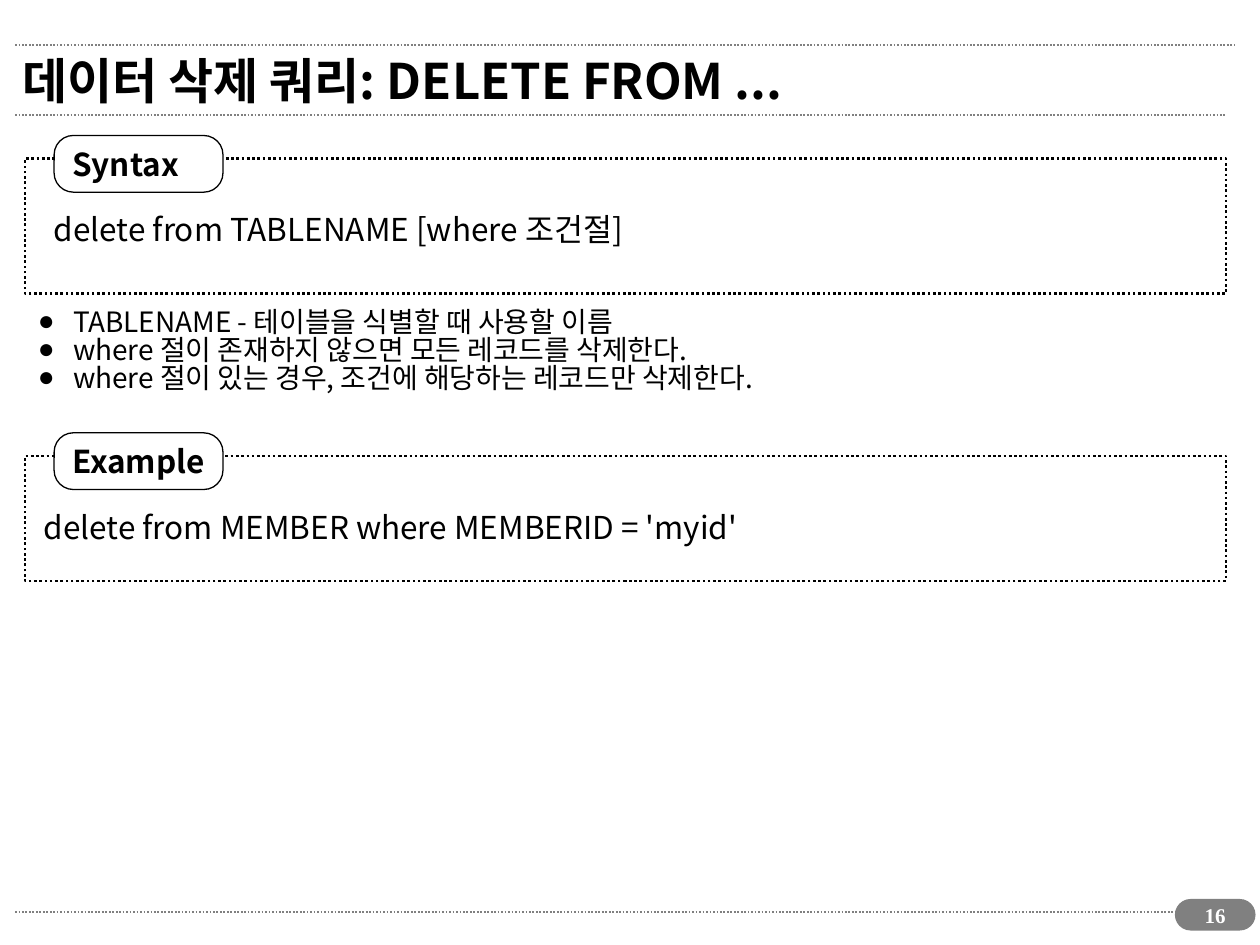
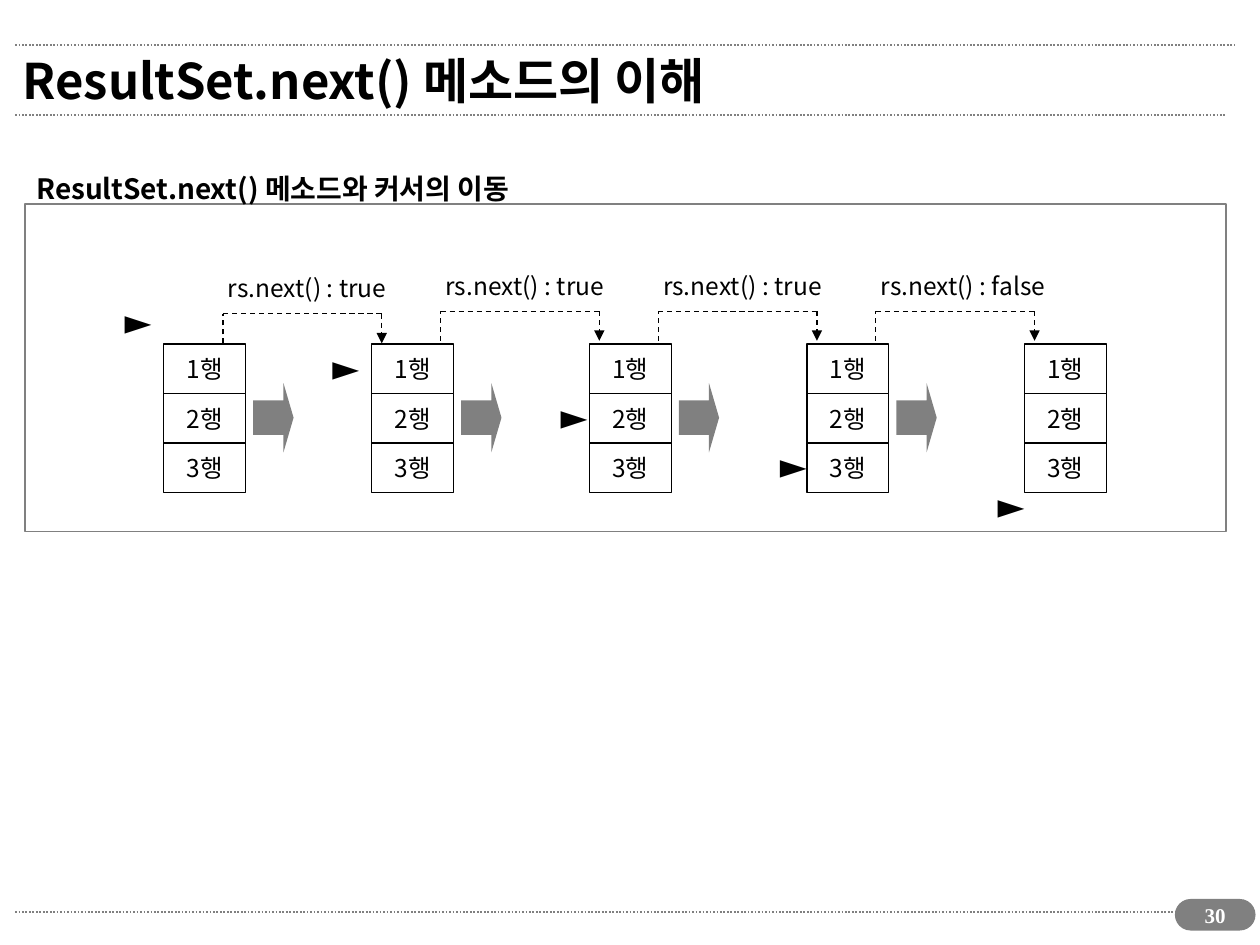
from lxml.etree import SubElement
from pptx import Presentation
from pptx.dml.color import RGBColor as Rgb
from pptx.enum.dml import MSO_LINE as Dash
from pptx.enum.shapes import MSO_CONNECTOR as Link, MSO_SHAPE as Form
from pptx.enum.text import MSO_ANCHOR as Anchor, MSO_AUTO_SIZE as Fit, PP_ALIGN as Align
from pptx.oxml.ns import qn
from pptx.util import Inches, Pt

COLORS = {"ink": "000000", "gray": "808080", "paper": "FFFFFF"}
SANS, SERIF = "Noto Sans CJK KR", "Times New Roman"
COLS, ROWS = 100, 75


def tint(name):
    return Rgb.from_string(COLORS[name])


class Deck:
    """Holds the style and the current slide; lengths are grid columns and rows."""

    def __init__(self):
        self.prs = Presentation()
        self.prs.slide_width, self.prs.slide_height = Inches(10), Inches(7.5)
        self.col = self.prs.slide_width / COLS
        self.row = self.prs.slide_height / ROWS
        self.slide = None

    def spot(self, *grid):
        """Turn alternating columns and rows into slide units."""
        return [round(n * (self.row if i % 2 else self.col)) for i, n in enumerate(grid)]

    def start(self, title, number, layout):
        self.slide = self.prs.slides.add_slide(self.prs.slide_layouts[layout])
        for right, row in ((97.3, 72.4), (97.2, 9.1), (98, 3.6)):
            self.line(1.2, row, right, row, "gray", 1, Dash.ROUND_DOT)
        pill = self.shape(Form.ROUNDED_RECTANGLE, (93.3, 71.4, 6.3, 2.4), "gray", "gray", adj=[0.5])
        frame = pill.text_frame
        frame.margin_top = frame.margin_bottom = 0
        self.label(frame, number, 12, True, "paper", SERIF, Align.CENTER)
        head = self.place(0, (0.8, 2.8, 91, 7.1))
        head.vertical_anchor = Anchor.MIDDLE
        self.label(head, title, 28, True)

    def place(self, index, box):
        """Move a placeholder and return its text frame."""
        holder = self.slide.placeholders[index]
        holder.left, holder.top, holder.width, holder.height = self.spot(*box)
        holder.text_frame.auto_size = Fit.NONE
        return holder.text_frame

    def label(self, frame, text, size, bold=False, color="ink", face=SANS, align=Align.LEFT):
        """Set and format the text of a frame."""
        frame.text = text
        for par in frame.paragraphs:
            par.alignment = align
            for run in par.runs:
                font = run.font
                font.size, font.bold, font.name = Pt(size), bold, face
                font.color.rgb = tint(color)
                SubElement(font._element, qn("a:ea"), typeface=face)

    def text(self, box, text, size, bold=False, wrap=False):
        frame = self.slide.shapes.add_textbox(*self.spot(*box)).text_frame
        frame.word_wrap = wrap
        frame.auto_size = Fit.SHAPE_TO_FIT_TEXT
        self.label(frame, text, size, bold)

    def points(self, box, items, size):
        """Fill the body placeholder with a bulleted list."""
        frame = self.place(1, box)
        self.label(frame, "\n".join(items), size)
        indent = Inches(0.28)
        for par in frame.paragraphs:
            par.space_before, par.line_spacing = Pt(0), 0.83
            props = par._p.get_or_add_pPr()
            props.set("marL", str(indent))
            props.set("indent", str(-indent))
            SubElement(props, qn("a:buChar"), char="●")

    def shape(self, form, box, fill=None, edge=None, width=0.75, dash=None, adj=()):
        item = self.slide.shapes.add_shape(form, *self.spot(*box))
        item.shadow.inherit = False
        for i, value in enumerate(adj):
            item.adjustments[i] = value
        if fill:
            item.fill.solid()
            item.fill.fore_color.rgb = tint(fill)
        else:
            item.fill.background()
        if edge:
            item.line.color.rgb = tint(edge)
            item.line.width = Pt(width)
            item.line.dash_style = dash
        else:
            item.line.fill.background()
        item.text_frame.word_wrap = False
        item.text_frame.vertical_anchor = Anchor.MIDDLE
        return item

    def line(self, x1, y1, x2, y2, color, width, dash, tip=False):
        item = self.slide.shapes.add_connector(Link.STRAIGHT, *self.spot(x1, y1, x2, y2))
        item.line.color.rgb = tint(color)
        item.line.width = Pt(width)
        item.line.dash_style = dash
        props = item._element.spPr
        if tip:
            SubElement(props.find(qn("a:ln")), qn("a:tailEnd"), type="triangle")
        SubElement(props, qn("a:effectLst"))

    def panel(self, name, top, high, code, left, wide):
        """Dotted frame with a name tag on its top edge and a line of code."""
        self.shape(Form.RECTANGLE, (2, top, 95.3, high), None, "ink", 1.5, Dash.ROUND_DOT)
        tag = self.shape(Form.ROUNDED_RECTANGLE, (4.3, top - 1.85, 13.4, 4.5),
                         "paper", "ink", adj=[0.34])
        self.label(tag.text_frame, name, 18, True)
        self.text((left, top + 3.6, wide, 4), code, 18, wrap=True)

    def stack(self, left, top, names):
        wide, high = 6.5, 3.93
        for i, name in enumerate(names):
            cell = self.shape(Form.RECTANGLE, (left, top + i * high, wide, high), "paper", "ink")
            self.label(cell.text_frame, name, 14, align=Align.CENTER)

    def hop(self, start, end, top, base):
        """Dashed bracket that ends in an arrow."""
        bends = [(start, base), (start, top), (end, top), (end, base)]
        for i, (a, b) in enumerate(zip(bends, bends[1:])):
            self.line(*a, *b, "ink", 0.75, Dash.DASH, tip=i == 2)


def draw_delete(deck):
    deck.start("데이터 삭제 쿼리: DELETE FROM ...", "16", 1)
    deck.panel("Syntax", 12.6, 10.7, "delete from TABLENAME [where 조건절]", 3.3, 92.4)
    deck.points((2, 24.1, 94.5, 10.2), [
        "TABLENAME - 테이블을 식별할 때 사용할 이름",
        "where 절이 존재하지 않으면 모든 레코드를 삭제한다.",
        "where 절이 있는 경우, 조건에 해당하는 레코드만 삭제한다.",
    ], 16)
    deck.panel("Example", 36.2, 9.9, "delete from MEMBER where MEMBERID = 'myid'", 2.5, 85.3)


def draw_cursor(deck):
    deck.start("ResultSet.next() 메소드의 이해", "30", 5)
    deck.shape(Form.RECTANGLE, (2, 16.2, 95.3, 26), None, "gray", 1)
    deck.text((1.9, 13.1, 40.9, 3.7), "ResultSet.next() 메소드와 커서의 이동", 16, True)
    lefts = [13] + [29.5 + 17.27 * i for i in range(4)]
    marks = [(8.9, 23.3), (25.4, 26.9), (43.5, 30.8), (60.9, 34.7), (78.2, 37.9)]
    for left, mark in zip(lefts, marks):
        deck.stack(left, 27.3, ["1행", "2행", "3행"])
        deck.text((*mark, 4.1, 4.4), "►", 20)
    answers = [("true", 14.8), ("true", 14.8), ("true", 14.8), ("false", 15.3)]
    for i, (answer, wide) in enumerate(answers):
        deck.shape(Form.RIGHT_ARROW, (lefts[i] + 7.1, 30.4, 3.2, 5.5), "gray", adj=[0.5, 0.25])
        end = lefts[i + 1] + 0.8
        start = end - 12.6
        top = 24.7 if i else 24.9
        deck.hop(start, end, top, top + 2.35)
        deck.text((start - 0.6, top - 3.7, wide, 3.4), f"rs.next() : {answer}", 14)


def main():
    deck = Deck()
    draw_delete(deck)
    draw_cursor(deck)
    deck.prs.save("out.pptx")


if __name__ == "__main__":
    main()
